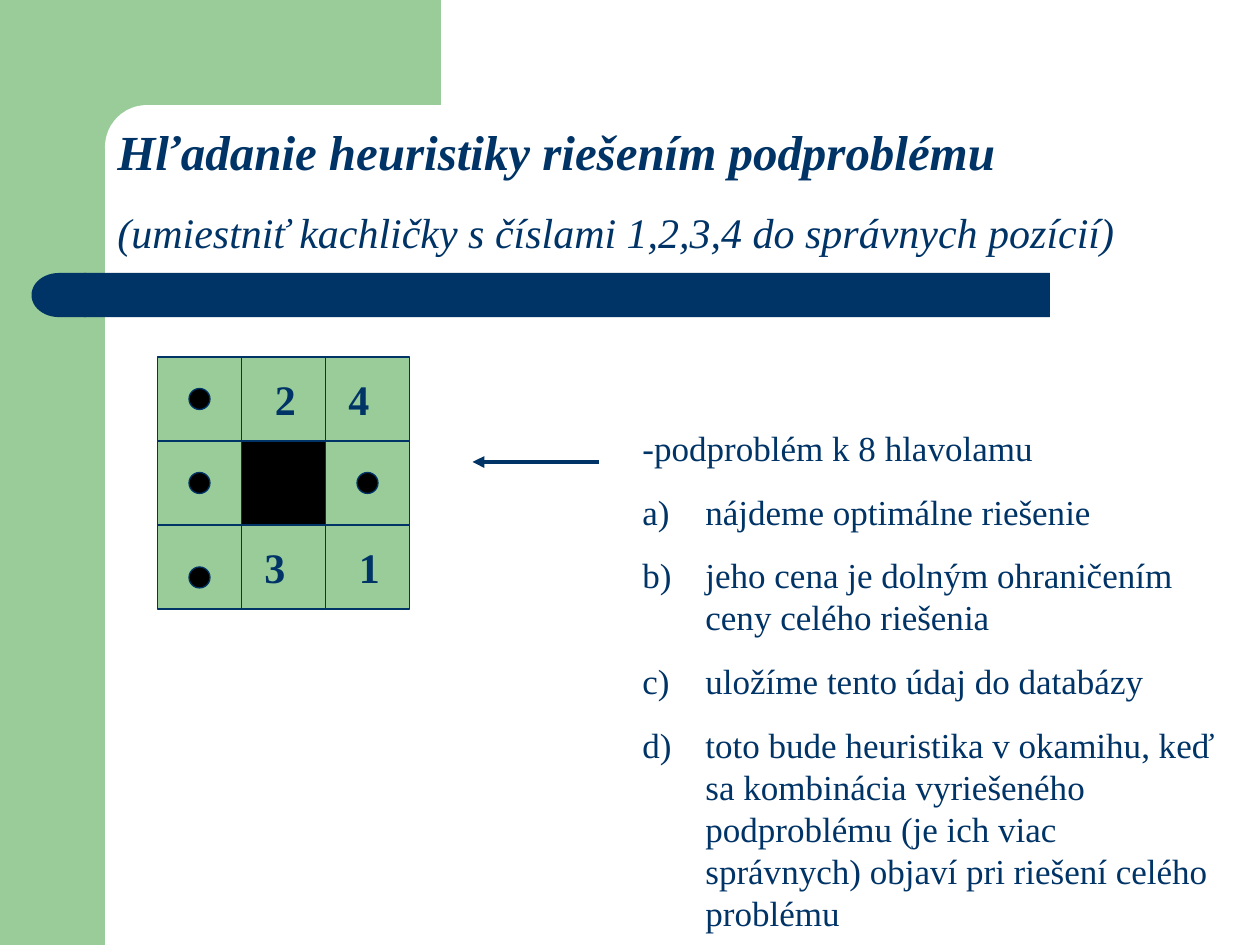
import pptx
import pptx.util
import pptx.dml.color
import pptx.enum.shapes
import pptx.oxml.ns
import lxml.etree

GREEN = pptx.dml.color.RGBColor(0x99, 0xCC, 0x99)
NAVY = pptx.dml.color.RGBColor(0x00, 0x33, 0x66)
WHITE = pptx.dml.color.RGBColor(0xFF, 0xFF, 0xFF)
BLACK = pptx.dml.color.RGBColor(0x00, 0x00, 0x00)
FONT = "Times New Roman"
KIND = pptx.enum.shapes.MSO_SHAPE
qn = pptx.oxml.ns.qn

deck = pptx.Presentation()
deck.slide_width = pptx.util.Inches(10)
deck.slide_height = pptx.util.Inches(7.5)
slide = deck.slides.add_slide(deck.slide_layouts[6])
unit = deck.slide_width / 120


def draw(kind, col, row, wide, high, fill, edge=None):
    spots = [round(n * unit) for n in (col, row, wide, high)]
    shape = slide.shapes.add_shape(kind, *spots)
    shape.shadow.inherit = False
    shape.fill.solid()
    shape.fill.fore_color.rgb = fill
    if edge is None:
        shape.line.fill.background()
    else:
        shape.line.color.rgb = edge
        shape.line.width = pptx.util.Pt(0.75)
    return shape


def write(col, row, wide, high, lines, bold=False):
    spots = [round(n * unit) for n in (col, row, wide, high)]
    frame = slide.shapes.add_textbox(*spots).text_frame
    frame.word_wrap = True
    frame.text = "\n".join(text for text, size in lines)
    for para, (text, size) in zip(frame.paragraphs, lines):
        para.space_before = pptx.util.Pt(size * 0.625)
        font = para.runs[0].font
        font.name = FONT
        font.size = pptx.util.Pt(size)
        font.bold = bold
        font.color.rgb = NAVY
    return frame.paragraphs


draw(KIND.RECTANGLE, 0, 0, 10, 90, GREEN)
draw(KIND.RECTANGLE, 9, 0, 33, 14, GREEN)
panel = draw(KIND.ROUNDED_RECTANGLE, 10, 10, 67, 8, WHITE)
panel.adjustments[0] = 0.5
bar = draw(KIND.ROUNDED_RECTANGLE, 8, 26, 92, 4.2, NAVY)
bar.adjustments[0] = 0
cap = draw(KIND.FLOWCHART_DELAY, 3, 26, 5.2, 4.2, NAVY)
cap.element.spPr.find(qn("a:xfrm")).set("flipH", "1")

title = write(10, 11, 107, 14.2, [
    ("Hľadanie heuristiky riešením podproblému", 28),
    ("(umiestniť kachličky s číslami 1,2,3,4 do správnych pozícií)", 24),
])
for para in title:
    para.runs[0].font.italic = True
title[0].runs[0].font.bold = True

side = 8
for row in reversed(range(3)):
    for col in reversed(range(3)):
        fill = BLACK if (col, row) == (1, 1) else GREEN
        draw(KIND.RECTANGLE, 15 + col * side, 34 + row * side, side, side, fill, NAVY)

for col, row in [(18, 54), (34, 45), (18, 45), (18, 37)]:
    draw(KIND.OVAL, col, row, 2, 2, BLACK, NAVY)

for digit, col, row in [("1", 33, 51), ("3", 24, 51), ("4", 32, 35), ("2", 25, 35)]:
    write(col, row, 5, 6, [(digit, 24)], bold=True)

ends = [round(n * unit) for n in (57, 44, 45, 44)]
arrow = slide.shapes.add_connector(pptx.enum.shapes.MSO_CONNECTOR.STRAIGHT, *ends)
arrow.line.color.rgb = NAVY
arrow.line.width = pptx.util.Pt(2.25)
lxml.etree.SubElement(arrow.line._get_or_add_ln(), qn("a:tailEnd"), type="triangle")
lxml.etree.SubElement(arrow.element.spPr, qn("a:effectLst"))

steps = [
    "-podproblém k 8 hlavolamu",
    "nájdeme optimálne riešenie",
    "jeho cena je dolným ohraničením ceny celého riešenia",
    "uložíme tento údaj do databázy",
    "toto bude heuristika v okamihu, keď sa kombinácia vyriešeného "
    "podproblému (je ich viac správnych) objaví pri riešení celého problému",
]
paras = write(60, 40, 57, 49.5, [(text, 20) for text in steps])
hang = pptx.util.Inches(0.5)
for rank, para in enumerate(paras):
    props = para._p.get_or_add_pPr()
    props.set("marL", str(hang))
    props.set("indent", str(-hang))
    if rank:
        tint = lxml.etree.SubElement(props, qn("a:buClr"))
        lxml.etree.SubElement(tint, qn("a:srgbClr"), val=str(NAVY))
        lxml.etree.SubElement(props, qn("a:buAutoNum"), type="alphaLcParenR")

deck.save("out.pptx")
